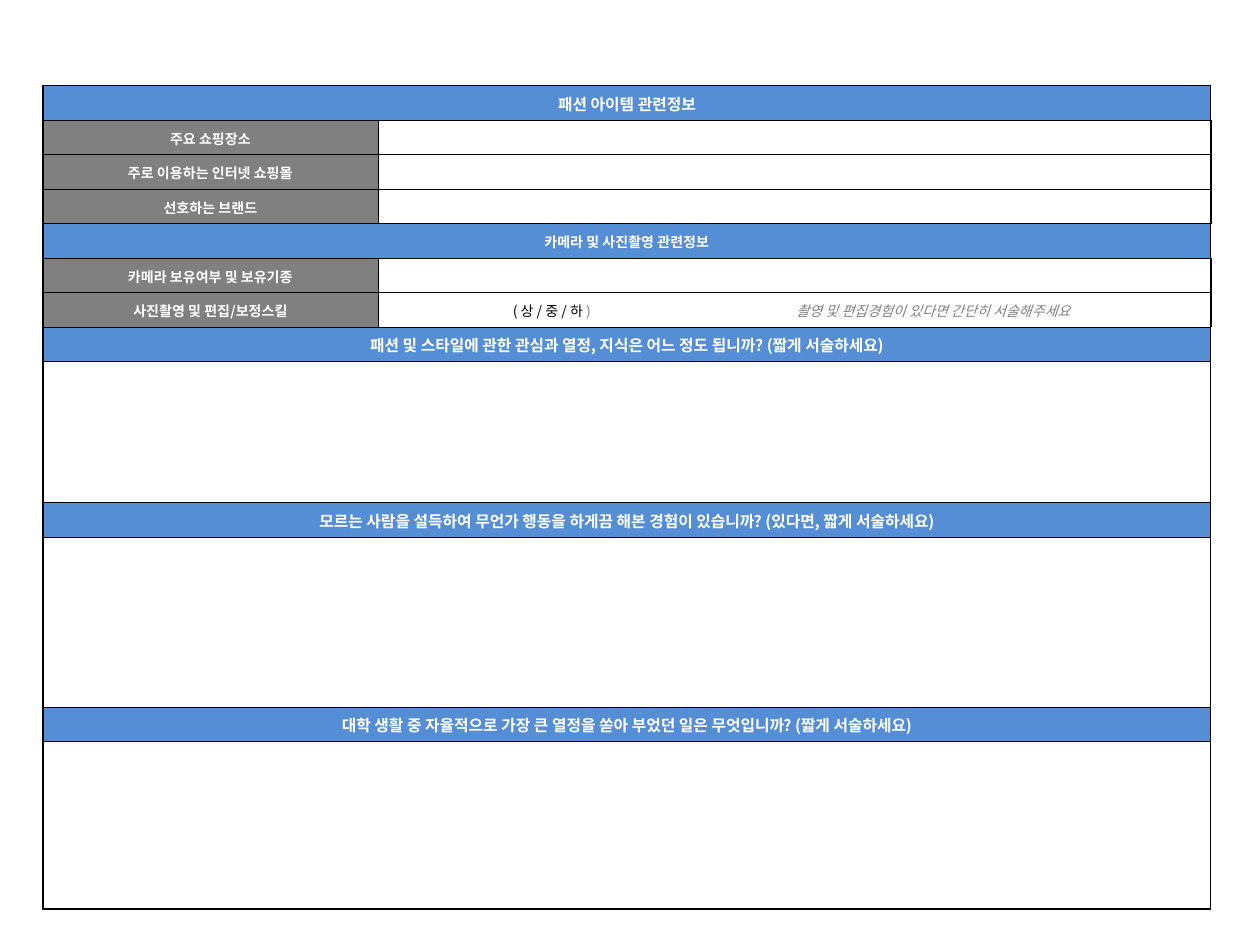
from dataclasses import dataclass

from lxml.etree import SubElement
from pptx import Presentation
from pptx.dml.color import RGBColor
from pptx.enum.text import MSO_ANCHOR, PP_ALIGN
from pptx.oxml.ns import qn
from pptx.util import Inches, Pt


@dataclass(frozen=True)
class Theme:
    font: str = "Noto Sans CJK KR"
    heading: str = "558ED5"
    label: str = "808080"
    light: str = "FFFFFF"
    dark: str = "000000"
    hint: str = "808080"
    large: int = 9
    small: int = 8
    outer: float = 1
    inner: float = 0.5


class FormSlide:
    """Holds the style and the current slide."""

    def __init__(self, prs, theme):
        self.theme = theme
        self.slide = prs.slides.add_slide(prs.slide_layouts[6])

    def table(self, left, top, widths, heights):
        frame = self.slide.shapes.add_table(
            len(heights), len(widths), left, top, sum(widths), sum(heights))
        tbl = frame.table
        tbl.first_row = tbl.horz_banding = False
        for col, width in zip(tbl.columns, widths):
            col.width = width
        for row, height in zip(tbl.rows, heights):
            row.height = height
        last_row, last_col = len(heights) - 1, len(widths) - 1
        for i in range(len(heights)):
            for j in range(len(widths)):
                self.cell(tbl.cell(i, j), {
                    "lnL": j == 0, "lnR": j == last_col,
                    "lnT": i == 0, "lnB": i == last_row})
        return tbl

    def cell(self, cell, edges):
        """Sets margins, borders and the type size of an empty cell."""
        cell.margin_left = cell.margin_top = cell.margin_right = Inches(0.01)
        cell.margin_bottom = 0
        cell.vertical_anchor = MSO_ANCHOR.MIDDLE
        props = cell._tc.get_or_add_tcPr()
        for tag, is_outer in edges.items():
            width = self.theme.outer if is_outer else self.theme.inner
            ln = SubElement(props, qn(f"a:{tag}"), w=str(Pt(width)))
            fill = SubElement(ln, qn("a:solidFill"))
            SubElement(fill, qn("a:srgbClr"), val=self.theme.dark)
        cell.fill.background()
        p = cell.text_frame.paragraphs[0]
        p.alignment = PP_ALIGN.CENTER
        SubElement(p._p, qn("a:endParaRPr"), sz=str(self.theme.small * 100))

    def fill(self, cell, color):
        cell.fill.solid()
        cell.fill.fore_color.rgb = RGBColor.from_string(color)

    def run(self, cell, text, size, color, bold=False, italic=False):
        r = cell.text_frame.paragraphs[0].add_run()
        r.text = text
        r.font.name = self.theme.font
        r.font.size = Pt(size)
        r.font.bold, r.font.italic = bold, italic
        r.font.color.rgb = RGBColor.from_string(color)
        SubElement(r.font._element, qn("a:ea"), typeface=self.theme.font)

    def caption(self, cell, text, size, color):
        self.fill(cell, color)
        self.run(cell, text, size, self.theme.light, bold=True)

    def tab_stops(self, cell, positions):
        p = cell.text_frame.paragraphs[0]
        p.alignment = PP_ALIGN.LEFT
        tabs = SubElement(p._p.get_or_add_pPr(), qn("a:tabLst"))
        for pos in positions:
            SubElement(tabs, qn("a:tab"), pos=str(pos), algn="l")


HEADING, LABEL, ANSWER = "heading", "label", "answer"
LINE = Inches(2.74) // 10
SMALL, LARGE = Theme.small, Theme.large

# Kind, text, type size and height of each row
ROWS = [
    (HEADING, "패션 아이템 관련정보", LARGE, LINE),
    (LABEL, "주요 쇼핑장소", SMALL, LINE),
    (LABEL, "주로 이용하는 인터넷 쇼핑몰", SMALL, LINE),
    (LABEL, "선호하는 브랜드", SMALL, LINE),
    (HEADING, "카메라 및 사진촬영 관련정보", SMALL, LINE),
    (LABEL, "카메라 보유여부 및 보유기종", SMALL, LINE),
    (LABEL, "사진촬영 및 편집/보정스킬", SMALL, LINE),
    (HEADING, "패션 및 스타일에 관한 관심과 열정, 지식은 어느 정도 됩니까? (짧게 서술하세요)", LARGE, LINE),
    (ANSWER, "", SMALL, Inches(1.12)),
    (HEADING, "모르는 사람을 설득하여 무언가 행동을 하게끔 해본 경험이 있습니까? (있다면, 짧게 서술하세요)", LARGE, LINE),
    (ANSWER, "", SMALL, Inches(1.35)),
    (HEADING, "대학 생활 중 자율적으로 가장 큰 열정을 쏟아 부었던 일은 무엇입니까? (짧게 서술하세요)", LARGE, LINE),
    (ANSWER, "", SMALL, Inches(1.33)),
]
SKILL_ROW = 6


def main():
    prs = Presentation()
    prs.slide_width, prs.slide_height = Inches(10), Inches(7.5)
    theme = Theme()
    form = FormSlide(prs, theme)

    # Application form
    tbl = form.table(Inches(0.34), Inches(0.68), [Inches(2.66), Inches(6.61)],
                     [height for *_, height in ROWS])
    for i, (kind, text, size, _) in enumerate(ROWS):
        cell = tbl.cell(i, 0)
        if kind != LABEL:
            cell.merge(tbl.cell(i, 1))
        if kind != ANSWER:
            color = theme.heading if kind == HEADING else theme.label
            form.caption(cell, text, size, color)

    # Skill level and its hint
    skill = tbl.cell(SKILL_ROW, 1)
    form.tab_stops(skill, [Inches(1.06), Inches(3.31)])
    form.run(skill, "\t( 상 / 중 / 하 ", SMALL, theme.dark)
    form.run(skill, ")\t", SMALL, theme.hint)
    form.run(skill, "촬영 및 편집경험이 있다면 간단히 서술해주세요", SMALL, theme.hint,
             italic=True)

    prs.save("out.pptx")


if __name__ == "__main__":
    main()
